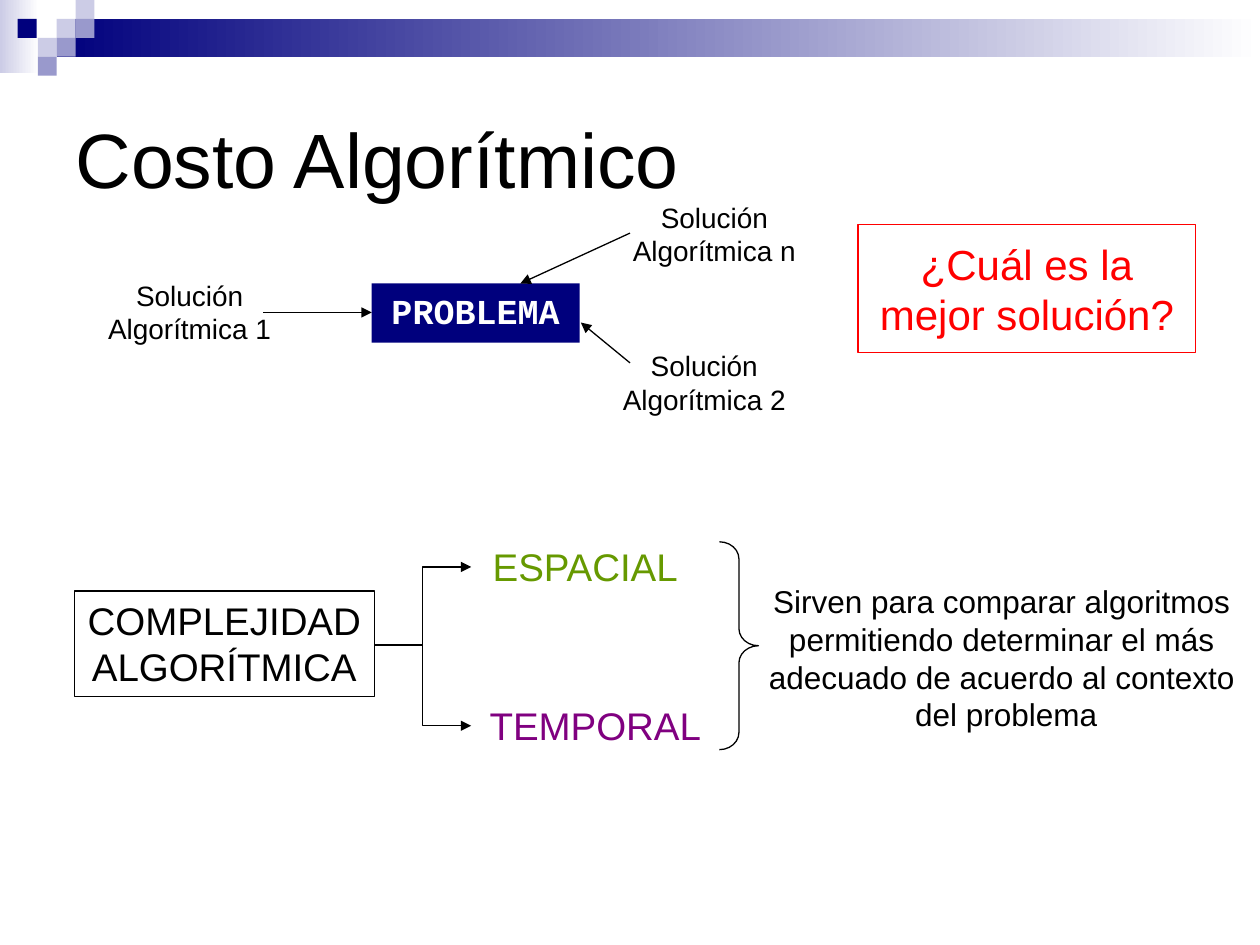
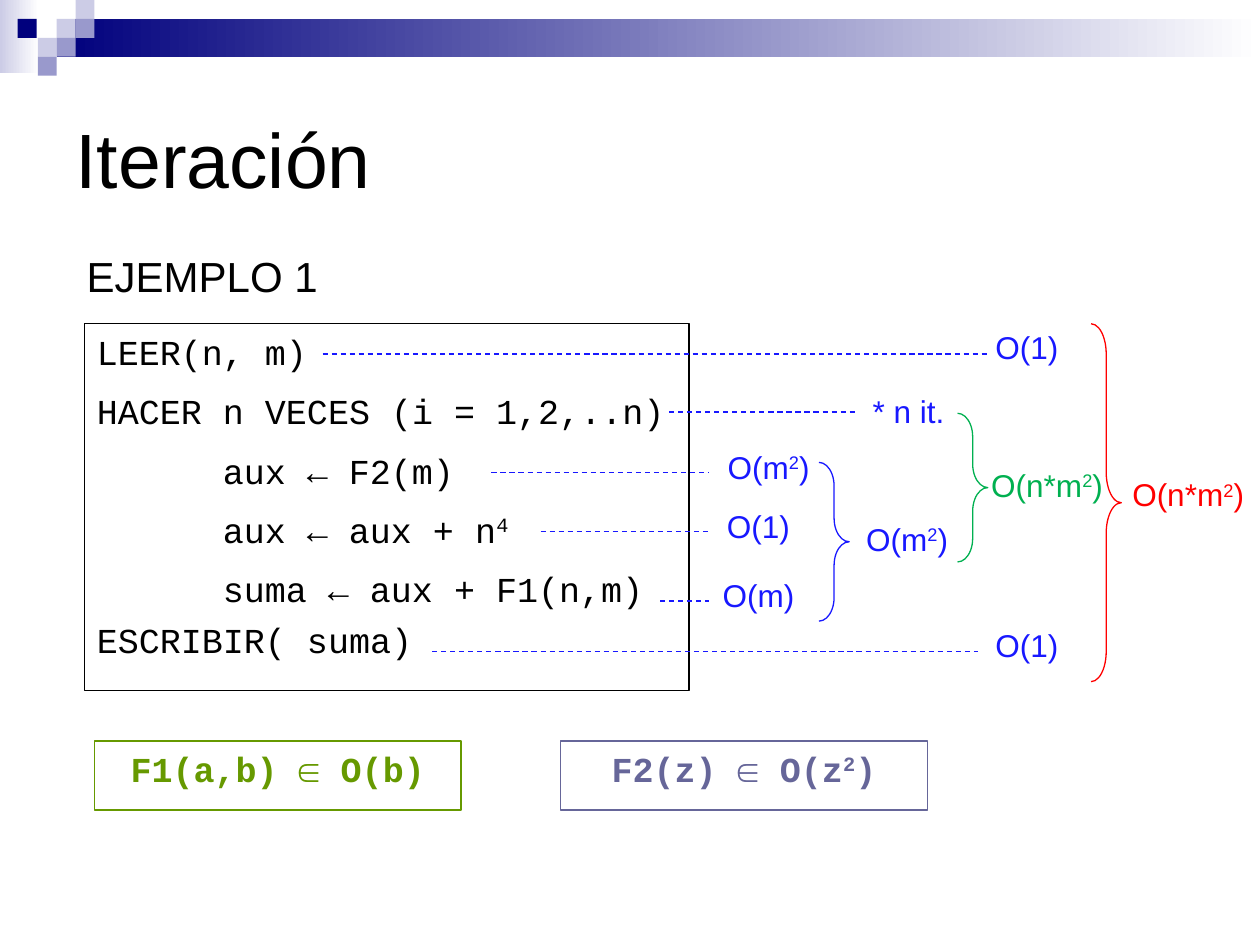
from dataclasses import dataclass

from pptx import Presentation
from pptx.dml.color import RGBColor
from pptx.enum.dml import MSO_LINE
from pptx.enum.shapes import MSO_CONNECTOR as CONN, MSO_SHAPE as SHAPE
from pptx.enum.text import MSO_ANCHOR as ANCHOR, PP_ALIGN as ALIGN
from pptx.oxml.ns import qn
from pptx.util import Emu, Pt
from lxml.etree import SubElement

PX = 9144  # 100 px to the inch
SANS, MONO = "Arial", "Courier New"
COLORS = {
    "black": "000000", "white": "FFFFFF", "navy": "00007D",
    "lilac": "CCCCE6", "violet": "9999CC", "red": "FF0000",
    "olive": "669900", "purple": "800080", "blue": "1818FF",
    "slate": "666699", "green": "00B050",
}
Box = tuple[int, int, int, int]
Point = tuple[int, int]


@dataclass
class Label:
    """Lines of text in a box; ^...^ marks a superscript."""
    text: str
    box: Box
    color: str = "black"
    size: int = 18
    font: str = SANS
    bold: bool = False
    fill: str | None = None
    border: str | None = None
    wrap: bool = False
    anchor: ANCHOR = ANCHOR.TOP
    align: ALIGN = ALIGN.CENTER


@dataclass
class Line:
    start: Point
    end: Point
    color: str = "black"
    dashed: bool = False
    elbow: bool = False


@dataclass
class Brace:
    box: Box
    color: str
    curve: float


@dataclass
class Solution:
    """A candidate solution with its arrow to the problem."""
    name: str
    box: Box
    start: Point
    end: Point


@dataclass
class Cost:
    """A dashed line from a code row to its cost."""
    text: str
    y: int
    x1: int
    x2: int
    label_at: Point
    label_size: Point = (94, 69)


def rgb(name: str) -> RGBColor:
    return RGBColor.from_string(COLORS[name])


def emu(lengths) -> list[Emu]:
    return [Emu(n * PX) for n in lengths]


def paint(shape, fill: str | None = None, border: str | None = None):
    shape.shadow.inherit = False
    if fill:
        shape.fill.solid()
        shape.fill.fore_color.rgb = rgb(fill)
    else:
        shape.fill.background()
    if border:
        shape.line.color.rgb = rgb(border)
        shape.line.width = Pt(0.75)
    else:
        shape.line.fill.background()


def add_runs(p, text: str, font: str, size: int, color: str, bold: bool = False):
    for i, part in enumerate(text.split("^")):
        if not part:
            continue
        r = p.add_run()
        r.text = part
        r.font.name, r.font.size, r.font.bold = font, Pt(size), bold
        r.font.color.rgb = rgb(color)
        if i % 2:
            r._r.get_or_add_rPr().set("baseline", "30000")


def add_label(s, label: Label):
    if label.fill or label.border:
        sp = s.shapes.add_shape(SHAPE.RECTANGLE, *emu(label.box))
        paint(sp, label.fill, label.border)
    else:
        sp = s.shapes.add_textbox(*emu(label.box))
    tf = sp.text_frame
    tf.word_wrap, tf.vertical_anchor = label.wrap, label.anchor
    if not label.wrap:  # leave the full width to the text
        tf.margin_right = 0
        if label.align == ALIGN.CENTER:
            tf.margin_left = 0
    for i, text in enumerate(label.text.split("\n")):
        p = tf.add_paragraph() if i else tf.paragraphs[0]
        p.alignment = label.align
        add_runs(p, text, label.font, label.size, label.color, label.bold)
    return sp


def add_line(s, line: Line):
    """Dashed lines are plain; solid ones end in an arrowhead."""
    kind = CONN.ELBOW if line.elbow else CONN.STRAIGHT
    c = s.shapes.add_connector(kind, *emu(line.start + line.end))
    c.line.color.rgb = rgb(line.color)
    c.line.width = Pt(0.75)
    if line.dashed:
        c.line.dash_style = MSO_LINE.DASH
    else:
        SubElement(c.line._get_or_add_ln(), qn("a:tailEnd"), type="triangle")
    SubElement(c._element.spPr, qn("a:effectLst"))


def add_brace(s, brace: Brace):
    sp = s.shapes.add_shape(SHAPE.RIGHT_BRACE, *emu(brace.box))
    sp.adjustments[0] = brace.curve
    paint(sp, border=brace.color)


def add_cost(s, cost: Cost):
    add_line(s, Line((cost.x1, cost.y), (cost.x2, cost.y), "blue", dashed=True))
    add_label(s, Label(cost.text, cost.label_at + cost.label_size, "blue",
                       anchor=ANCHOR.MIDDLE))


def set_tab_stop(p, position: int):
    tabs = SubElement(p._p.get_or_add_pPr(), qn("a:tabLst"))
    SubElement(tabs, qn("a:tab"), pos=str(position * PX), algn="l")


def add_slide(prs, title: str):
    s = prs.slides.add_slide(prs.slide_layouts.get_by_name("Title Only"))
    sp = s.shapes.title
    sp.left, sp.top, sp.width, sp.height = emu((50, 50, 900, 150))
    tf = sp.text_frame
    tf.vertical_anchor = ANCHOR.MIDDLE
    tf.paragraphs[0].alignment = ALIGN.LEFT
    add_runs(tf.paragraphs[0], title, SANS, 44, "black")
    return s


def move_header_to_layout(s):
    """Draw the band and its squares, then hand them to the slide's layout."""
    gradients = [((0, 0, 31, 58), "lilac"), ((45, 15, 955, 30), "navy")]
    squares = [(45, 15, "lilac"), (60, 0, "lilac"), (60, 15, "violet"),
               (30, 30, "lilac"), (14, 15, "navy"), (45, 30, "violet"),
               (30, 45, "violet")]
    header = []
    for box, color in gradients:
        sp = s.shapes.add_shape(SHAPE.RECTANGLE, *emu(box))
        paint(sp)
        sp.fill.gradient()
        sp.fill.gradient_angle = 0
        for stop, name in zip(sp.fill.gradient_stops, (color, "white")):
            stop.color.rgb = rgb(name)
        header.append(sp)
    for x, y, color in squares:
        sp = s.shapes.add_shape(SHAPE.RECTANGLE, *emu((x, y, 15, 15)))
        paint(sp, color)
        header.append(sp)
    tree = s.slide_layout.shapes.element
    for sp in header:
        tree.append(sp.element)


def fill_cost_slide(s):
    problem = add_label(s, Label("PROBLEMA", (295, 225, 165, 47), "white", 20, MONO,
                                 bold=True, fill="navy", wrap=True))
    p = problem.text_frame.paragraphs[0]
    p.space_before = p.space_after = Pt(5)
    solutions = [
        Solution("1", (43, 216, 215, 64), (209, 248), (295, 248)),
        Solution("2", (484, 272, 150, 64), (500, 288), (461, 256)),
        Solution("n", (492, 154, 150, 64), (500, 185), (413, 225)),
    ]
    for sol in solutions:
        add_label(s, Label(f"Solución\nAlgorítmica {sol.name}", sol.box, size=16))
        add_line(s, Line(sol.start, sol.end))
    add_label(s, Label("¿Cuál es la\nmejor solución?", (681, 178, 268, 102), "red", 24,
                       border="red", anchor=ANCHOR.MIDDLE))

    add_label(s, Label("COMPLEJIDAD\nALGORÍTMICA", (59, 469, 238, 84), size=22,
                       border="black"))
    kinds = [("ESPACIAL", (374, 422, 181, 55), "olive", 450),
             ("TEMPORAL", (374, 548, 197, 55), "purple", 576)]
    for name, box, color, y in kinds:
        add_label(s, Label(name, box, color, 22, anchor=ANCHOR.MIDDLE))
        add_line(s, Line((297, 512), (374, y), elbow=True))
    add_label(s, Label("Sirven para comparar algoritmos \n"
                       "permitiendo determinar el más \n"
                       "adecuado de acuerdo al contexto \n"
                       "del problema", (600, 457, 397, 130)))
    add_brace(s, Brace((571, 430, 31, 165), "black", 0.44))


def fill_iteration_slide(s):
    code = add_label(s, Label("LEER(n, m)\n"
                              "HACER n VECES (i = 1,2,..n)\n"
                              "\taux ← F2(m)\n"
                              "\taux ← aux + n^4^\n"
                              "\tsuma ← aux + F1(n,m)\n"
                              "ESCRIBIR( suma)", (67, 257, 480, 291), size=20,
                              font=MONO, fill="white", border="black", wrap=True,
                              align=ALIGN.LEFT))
    *rows, last = code.text_frame.paragraphs
    for p in rows:
        p.space_before = p.space_after = Pt(5)
        set_tab_stop(p, 100)
    last.alignment = ALIGN.JUSTIFY
    add_label(s, Label("EJEMPLO 1", (59, 194, 203, 50), size=24, align=ALIGN.LEFT))

    costs = [
        Cost("O(1)", 281, 256, 784, (768, 241)),
        Cost("* n it.", 327, 531, 681, (650, 293), (142, 66)),
        Cost("O(m^2^)", 375, 390, 563, (563, 336)),
        Cost("O(1)", 422, 429, 563, (555, 383)),
        Cost("O(m)", 477, 524, 563, (555, 438)),
        Cost("O(1)", 517, 343, 776, (768, 477)),
    ]
    for cost in costs:
        add_cost(s, cost)

    totals = [
        (Brace((650, 367, 24, 126), "blue", 0.78), "O(m^2^)", (673, 408, 94, 39)),
        (Brace((760, 328, 24, 118), "green", 0.78), "O(n*m^2^)", (784, 366, 94, 37)),
        (Brace((866, 257, 24, 284), "red", 1), "O(n*m^2^)", (886, 348, 114, 88)),
    ]
    for brace, text, box in totals:
        add_brace(s, brace)
        add_label(s, Label(text, box, brace.color, anchor=ANCHOR.MIDDLE))

    orders = [("F1(a,b) ∈ O(b)", 75, "olive"), ("F2(z) ∈ O(z^2^)", 445, "slate")]
    for text, x, color in orders:
        add_label(s, Label(text, (x, 588, 291, 55), color, 20, MONO, bold=True,
                           fill="white", border=color, wrap=True))


def main():
    prs = Presentation()
    prs.slide_width, prs.slide_height = emu((1000, 750))
    s = add_slide(prs, "Costo Algorítmico")
    move_header_to_layout(s)
    fill_cost_slide(s)
    fill_iteration_slide(add_slide(prs, "Iteración"))
    prs.save("out.pptx")


if __name__ == "__main__":
    main()
